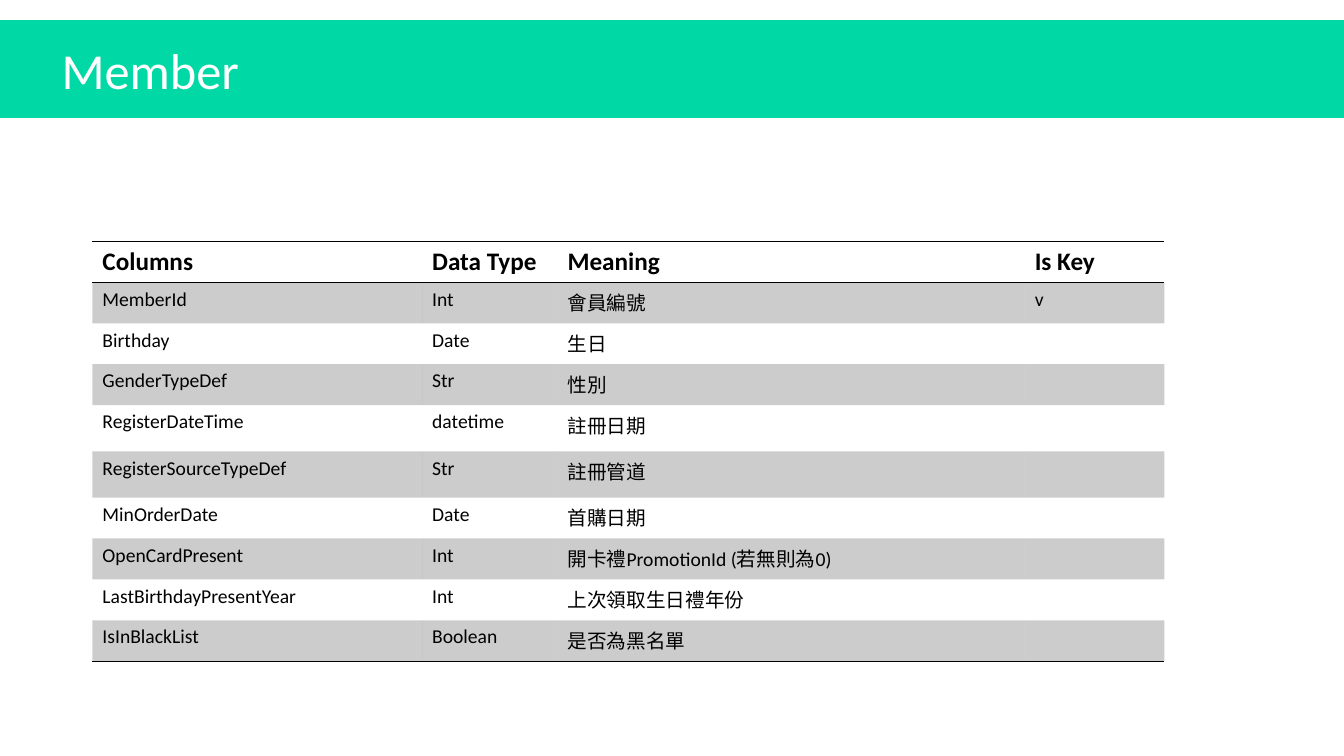
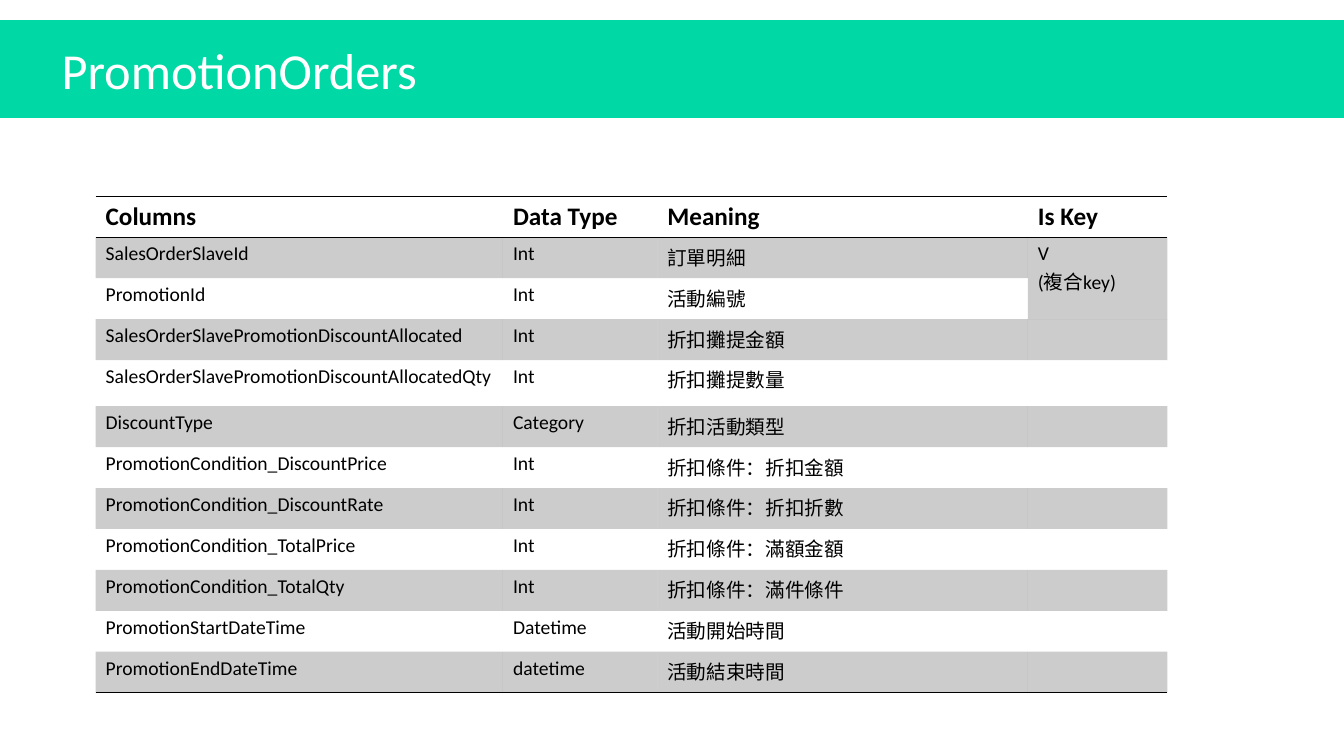
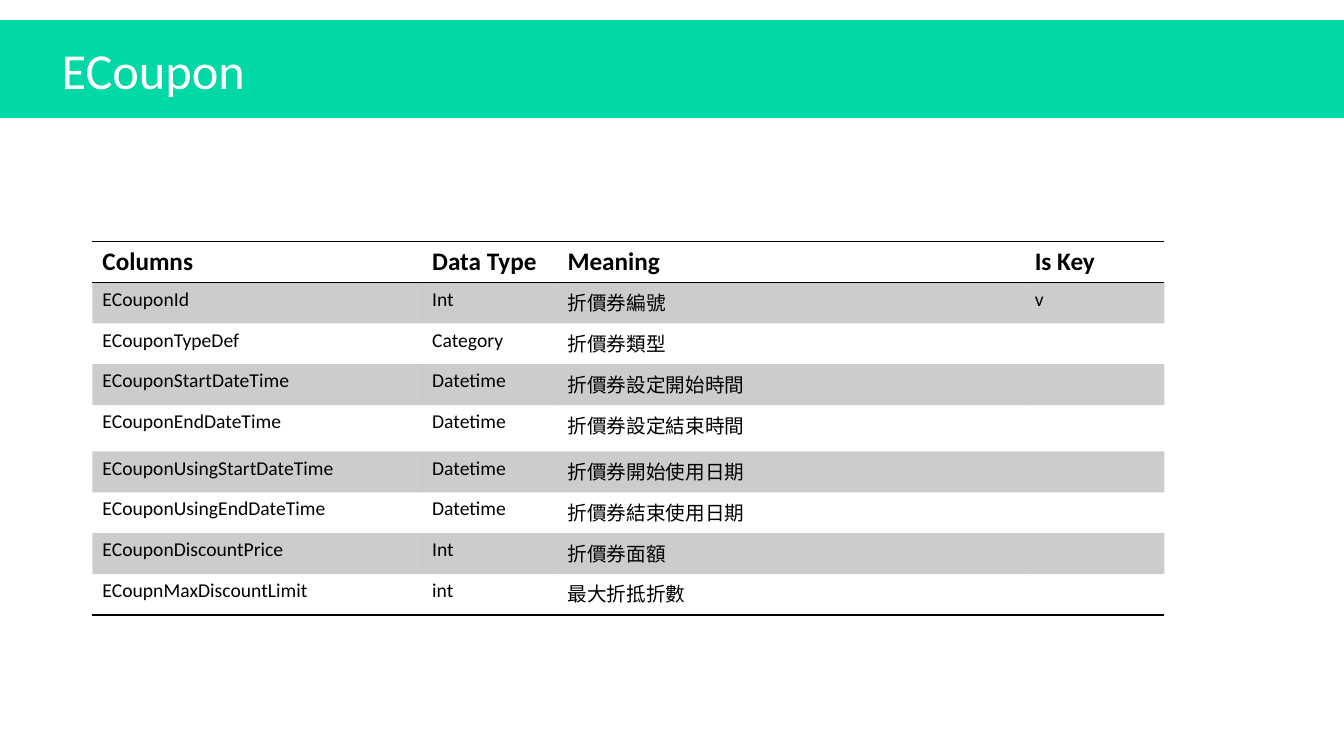
"""Build three slides that document the columns of database tables."""
from dataclasses import dataclass

from lxml import etree
from pptx import Presentation
from pptx import util as u
from pptx.dml.color import RGBColor
from pptx.enum import shapes, text
from pptx.oxml.ns import qn

HEADINGS = ("Columns", "Data Type", "Meaning", "Is Key")
NARROW_NAMES = (314, 129, 445, 133)
WIDE_NAMES = (388, 147, 353, 133)

TABLES = [
    {
        "title": "Member", "corner": (88, 230), "widths": NARROW_NAMES,
        "tall_rows": (4, 5), "merged_key_rows": None,
        "rows": [
            ("MemberId", "Int", "會員編號", "v"),
            ("Birthday", "Date", "生日", ""),
            ("GenderTypeDef", "Str", "性別", ""),
            ("RegisterDateTime", "datetime", "註冊日期", ""),
            ("RegisterSourceTypeDef", "Str", "註冊管道", ""),
            ("MinOrderDate", "Date", "首購日期", ""),
            ("OpenCardPresent", "Int", "開卡禮PromotionId (若無則為0)", ""),
            ("LastBirthdayPresentYear", "Int", "上次領取生日禮年份", ""),
            ("IsInBlackList", "Boolean", "是否為黑名單", ""),
        ],
    },
    {
        "title": "PromotionOrders", "corner": (91, 187), "widths": WIDE_NAMES,
        "tall_rows": (4,), "merged_key_rows": (1, 2),
        "rows": [
            ("SalesOrderSlaveId", "Int", "訂單明細", "V\n(複合key)"),
            ("PromotionId", "Int", "活動編號", ""),
            ("SalesOrderSlavePromotionDiscountAllocated", "Int", "折扣攤提金額", ""),
            ("SalesOrderSlavePromotionDiscountAllocatedQty", "Int", "折扣攤提數量", ""),
            ("DiscountType", "Category", "折扣活動類型", ""),
            ("PromotionCondition_DiscountPrice", "Int", "折扣條件：折扣金額", ""),
            ("PromotionCondition_DiscountRate", "Int", "折扣條件：折扣折數", ""),
            ("PromotionCondition_TotalPrice", "Int", "折扣條件：滿額金額", ""),
            ("PromotionCondition_TotalQty", "Int", "折扣條件：滿件條件", ""),
            ("PromotionStartDateTime", "Datetime", "活動開始時間", ""),
            ("PromotionEndDateTime", "datetime", "活動結束時間", ""),
        ],
    },
    {
        "title": "ECoupon", "corner": (88, 230), "widths": NARROW_NAMES,
        "tall_rows": (4,), "merged_key_rows": None,
        "rows": [
            ("ECouponId", "Int", "折價券編號", "v"),
            ("ECouponTypeDef", "Category", "折價券類型", ""),
            ("ECouponStartDateTime", "Datetime", "折價券設定開始時間", ""),
            ("ECouponEndDateTime", "Datetime", "折價券設定結束時間", ""),
            ("ECouponUsingStartDateTime", "Datetime", "折價券開始使用日期", ""),
            ("ECouponUsingEndDateTime", "Datetime", "折價券結束使用日期", ""),
            ("ECouponDiscountPrice", "Int", "折價券面額", ""),
            ("ECoupnMaxDiscountLimit", "int", "最大折抵折數", ""),
        ],
    },
]


@dataclass(frozen=True)
class Theme:
    font: str = "Calibri"
    band: str = "00D8A5"
    title: str = "FFFFFF"
    ink: str = "000000"
    stripe_percent: int = 20
    title_size: int = 36
    heading_size: int = 18
    body_size: int = 14
    rule_width: int = 1


THEME = Theme()
SLIDE_SIZE = (1280, 720)
BAND_BOX = (-17, 20, 1315, 92)
TITLE_BOX = (49, 0, 1104, 139)
ROW_HEIGHT, TALL_ROW_HEIGHT = 39, 44
PLAIN_TABLE_STYLE = "{2D5ABB26-0587-4C30-8999-92F81FD0307C}"


def px(length):
    return u.Emu(length * 9525)


def style_runs(frame, size, color, bold=False):
    for paragraph in frame.paragraphs:
        for run in paragraph.runs:
            run.font.name = THEME.font
            run.font.size = u.Pt(size)
            run.font.bold = bold
            run.font.color.rgb = RGBColor.from_string(color)


def add_header(slide, wording):
    band = slide.shapes.add_shape(shapes.MSO_SHAPE.RECTANGLE, *map(px, BAND_BOX))
    band.shadow.inherit = False
    band.fill.solid()
    band.fill.fore_color.rgb = band.line.color.rgb = RGBColor.from_string(THEME.band)
    band.line.width = u.Pt(1)

    title = slide.shapes.title
    title.left, title.top, title.width, title.height = map(px, TITLE_BOX)
    frame = title.text_frame
    frame.text = wording
    frame.word_wrap = True
    frame.vertical_anchor = text.MSO_ANCHOR.MIDDLE
    frame.paragraphs[0].alignment = text.PP_ALIGN.LEFT
    frame.paragraphs[0].line_spacing = 0.9
    style_runs(frame, THEME.title_size, THEME.title)
    band._element.addnext(title._element)


def paint_stripe(cell):
    cell.fill.solid()
    cell.fill.fore_color.rgb = RGBColor.from_string(THEME.ink)
    color = cell._tc.tcPr.find(f".//{qn('a:srgbClr')}")
    etree.SubElement(color, qn("a:alpha"), val=str(THEME.stripe_percent * 1000))


def draw_rules(cell, edges):
    for position, edge in enumerate(edges):
        rule = etree.Element(qn(f"a:ln{edge}"), w=str(u.Pt(THEME.rule_width)))
        fill = etree.SubElement(rule, qn("a:solidFill"))
        etree.SubElement(fill, qn("a:srgbClr"), val=THEME.ink)
        cell._tc.get_or_add_tcPr().insert(position, rule)


def add_columns_table(slide, corner, widths, rows, tall_rows, merged_key_rows):
    lines = [HEADINGS, *rows]
    heights = [TALL_ROW_HEIGHT if i in tall_rows else ROW_HEIGHT for i in range(len(lines))]
    box = (*corner, sum(widths), sum(heights))
    table = slide.shapes.add_table(len(lines), len(widths), *map(px, box)).table
    table.horz_banding = False
    table._tbl.tblPr.find(qn("a:tableStyleId")).text = PLAIN_TABLE_STYLE
    for column, width in zip(table.columns, widths):
        column.width = px(width)

    for i, (row, height, line) in enumerate(zip(table.rows, heights, lines)):
        row.height = px(height)
        heading = i == 0
        edges = "TB" if heading else "B" if i == len(rows) else ""
        for cell, wording in zip(row.cells, line):
            if wording:
                cell.text_frame.text = wording
            size = THEME.heading_size if heading else THEME.body_size
            style_runs(cell.text_frame, size, THEME.ink, heading)
            if i % 2:
                paint_stripe(cell)
            else:
                cell.fill.background()
            draw_rules(cell, edges)

    if merged_key_rows:
        first, last = merged_key_rows
        key = len(HEADINGS) - 1
        table.cell(first, key).merge(table.cell(last, key))


def main():
    deck = Presentation()
    deck.slide_width, deck.slide_height = map(px, SLIDE_SIZE)
    for content in TABLES:
        slide = deck.slides.add_slide(deck.slide_layouts[5])
        add_columns_table(slide, **{k: v for k, v in content.items() if k != "title"})
        add_header(slide, content["title"])
    deck.save("out.pptx")


if __name__ == "__main__":
    main()
